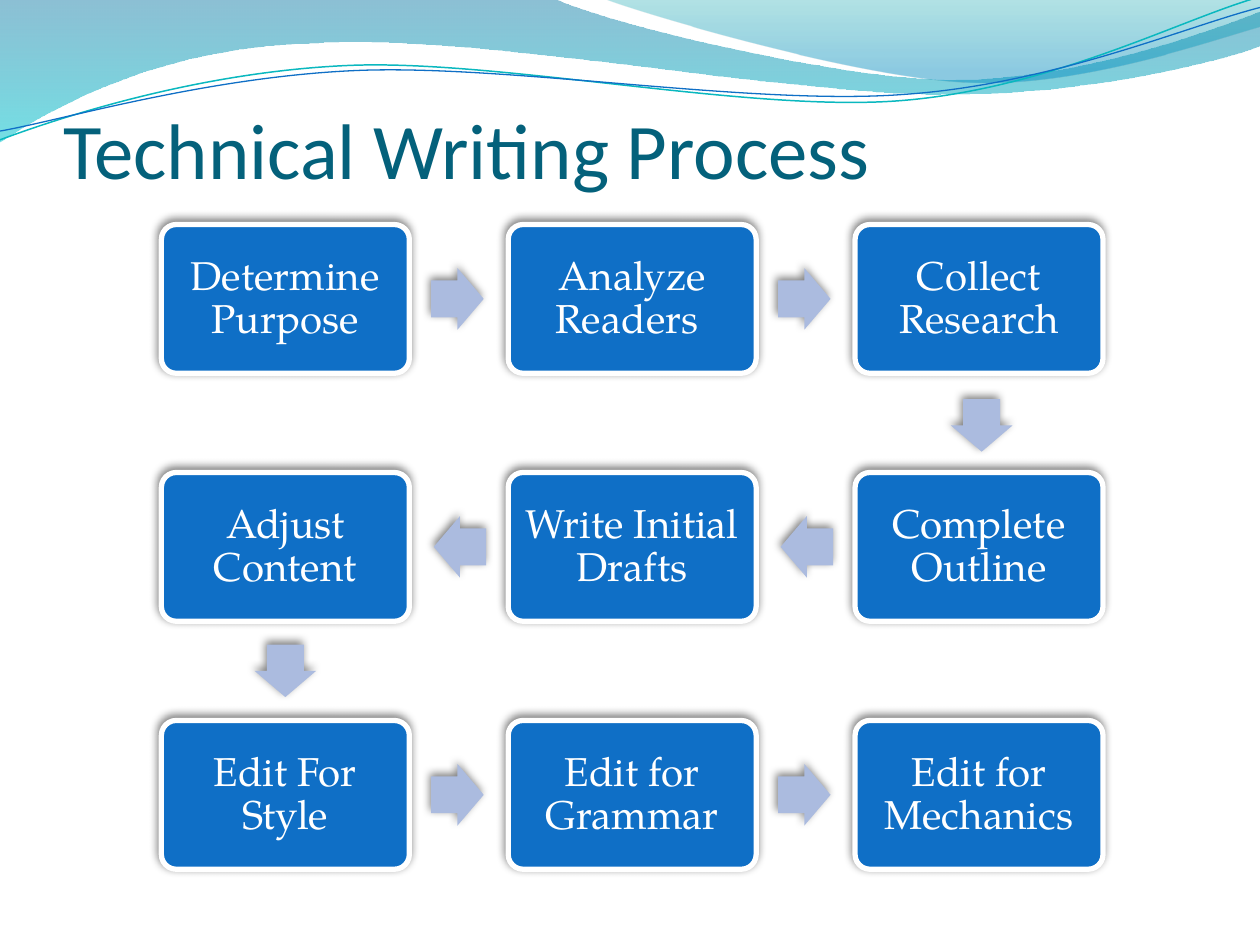
from math import cos, radians, sin

from lxml.etree import SubElement
from pptx import Presentation
from pptx.dml.color import RGBColor
from pptx.enum.shapes import MSO_SHAPE as Preset
from pptx.enum.text import MSO_ANCHOR as Anchor, MSO_AUTO_SIZE as AutoSize, PP_ALIGN as Align
from pptx.oxml.ns import qn
from pptx.util import Pt

STEPS = ["Determine Purpose", "Analyze Readers ", "Collect Research",
         "Complete Outline", "Write Initial Drafts", "Adjust Content",
         "Edit For Style", "Edit for Grammar", "Edit for Mechanics"]
COLUMNS = 3
BOX_LEFT, BOX_TOP, BOX_WIDTH, BOX_HEIGHT = 92.2, 128.3, 141.7, 85
COLUMN_STEP, ROW_STEP = 198.2, 141.7
ARROW_WIDTH, ARROW_HEIGHT = 30, 35.2
ARROW_NUDGE = {2: (1.5, 1.5)}

# Each outline is a start point followed by segments:
# one point is a straight line, three points are a Bezier curve.
LEFT_WAVE = [
    (0, 0), [(316.8, -0.7)],
    [(342.7, 12.2), (478.1, 45.4), (545.8, 45.4)],
    [(614.2, 45.4), (689.8, 18.7), (720, 6.5)], [(720.7, 25.9)],
    [(707.8, 31.7), (626.4, 54.7), (537.1, 54)],
    [(447.8, 54), (275, 20.2), (185, 24.5)],
    [(92.9, 25.9), (33.1, 59.8), (-0.7, 81.4)]]
RIGHT_WAVE = [
    (344.9, -0.7),
    [(366.5, 7.9), (491, 44.6), (553.7, 46.8)],
    [(616.3, 49.7), (691.9, 23), (720, 15.1)], [(720, 0)]]
TEAL_LINE = [
    (0, 79.9),
    [(34.6, 67), (113.8, 41), (199.4, 37.4)],
    [(284.4, 33.8), (427, 64.1), (513.4, 57.6)],
    [(599.8, 51.1), (675.4, 10.8), (718.6, -1.4)]]
BLUE_LINE = [
    (0, 74.9),
    [(33.8, 69.1), (118.1, 43.9), (203.8, 40.3)],
    [(290.2, 36.7), (429.8, 60.5), (516.2, 54)],
    [(601.9, 48.2), (677.5, 15.1), (720, 4.3)]]


def color(value):
    """Turn a hex string into a colour."""
    return RGBColor.from_string(value)


def apply(target, values):
    """Set each attribute of the target from a dict."""
    for name, value in values.items():
        setattr(target, name, value)


def turn(point, pivot, degrees):
    """Rotate a point clockwise around a pivot."""
    angle = radians(degrees)
    x, y = point[0] - pivot[0], point[1] - pivot[1]
    return (pivot[0] + x * cos(angle) - y * sin(angle),
            pivot[1] + x * sin(angle) + y * cos(angle))


class Deck:
    """Holds the style and the current slide."""

    title_font = {"name": "Calibri", "size": Pt(45), "bold": False}
    box_font = {"name": "TeX Gyre Pagella", "size": Pt(23)}
    box_fill, arrow_fill, white, title_color = "0F6FC6", "ABBBDF", "FFFFFF", "04617B"
    shadow = {"blurRad": Pt(5), "dist": Pt(2), "dir": 245 * 60000}
    line_tilt = -2.7

    def __init__(self):
        """Start a presentation with one title slide."""
        self.presentation = Presentation()
        apply(self.presentation, {"slide_width": Pt(720), "slide_height": Pt(540)})
        self.slide = self.presentation.slides.add_slide(self.presentation.slide_layouts[5])
        self.shapes = self.slide.shapes

    def title(self, text, left, top, width, height):
        """Place and format the title in front of the waves."""
        shape = self.shapes.title
        apply(shape, {"left": Pt(left), "top": Pt(top), "width": Pt(width), "height": Pt(height)})
        self.set_text(shape, text, self.title_font, self.title_color, Align.LEFT,
                      {"vertical_anchor": Anchor.BOTTOM, "margin_left": 0, "margin_right": 0,
                       "margin_top": Pt(3.6), "margin_bottom": 0})
        self.shapes._spTree.append(shape._element)

    def set_text(self, shape, text, font, font_color, alignment, frame_format):
        """Fill a shape with one formatted paragraph."""
        frame = shape.text_frame
        apply(frame, {"text": text, "word_wrap": True, "auto_size": AutoSize.NONE, **frame_format})
        paragraph = frame.paragraphs[0]
        paragraph.alignment = alignment
        run_font = paragraph.runs[0].font
        apply(run_font, font)
        run_font.color.rgb = color(font_color)
        return paragraph

    def outline(self, segments, closed):
        """Draw a freeform from straight lines and Bezier curves."""
        start, *rest = segments
        points = [(Pt(x), Pt(y)) for segment in rest for x, y in segment]
        builder = self.shapes.build_freeform(Pt(start[0]), Pt(start[1]))
        builder.add_line_segments(points, close=closed)
        shape = builder.convert_to_shape()
        shape.shadow.inherit = False
        corners = iter(list(shape._element.iter(qn("a:lnTo"))))
        for segment in rest:
            first, *others = [next(corners) for _ in segment]
            if others:
                first.tag = qn("a:cubicBezTo")
            for corner in others:
                first.append(corner[0])
                corner.getparent().remove(corner)
        return shape

    def wave(self, segments, stops):
        """Draw a closed wave with a translucent downward gradient."""
        shape = self.outline(segments, True)
        shape.line.fill.background()
        shape.fill.gradient()
        shape.fill.gradient_angle = 270
        for stop, (position, value, _) in zip(shape.fill.gradient_stops, stops):
            stop.position = position
            stop.color.rgb = color(value)
        for element, (_, _, opacity) in zip(shape._element.spPr.iter(qn("a:srgbClr")), stops):
            SubElement(element, qn("a:alpha"), val=str(opacity * 1000))

    def curve(self, segments, pivot, value, width):
        """Draw a thin open curve as a tilted shape."""
        start, *rest = segments
        level = [turn(start, pivot, -self.line_tilt)]
        level += [[turn(point, pivot, -self.line_tilt) for point in segment] for segment in rest]
        shape = self.outline(level, False)
        shape.rotation = self.line_tilt
        shape.fill.background()
        shape.line.color.rgb = color(value)
        shape.line.width = Pt(width)

    def block(self, preset, left, top, width, height, fill, adjustments):
        """Draw a filled preset shape with a soft shadow."""
        shape = self.shapes.add_shape(preset, Pt(left), Pt(top), Pt(width), Pt(height))
        for index, value in enumerate(adjustments):
            shape.adjustments[index] = value
        shape.fill.solid()
        shape.fill.fore_color.rgb = color(fill)
        shape.shadow.inherit = False
        effects = shape._element.spPr.find(qn("a:effectLst"))
        shadow = SubElement(effects, qn("a:outerShdw"), rotWithShape="0",
                            **{name: str(int(value)) for name, value in self.shadow.items()})
        shade = SubElement(shadow, qn("a:srgbClr"), val="000000")
        SubElement(shade, qn("a:alpha"), val="50000")
        return shape

    def box(self, text, left, top):
        """Draw one step of the process."""
        shape = self.block(Preset.ROUNDED_RECTANGLE, left, top, BOX_WIDTH, BOX_HEIGHT,
                           self.box_fill, [0.1])
        shape.line.color.rgb = color(self.white)
        shape.line.width = Pt(3)
        margins = {f"margin_{side}": Pt(7.2) for side in ("left", "right", "top", "bottom")}
        paragraph = self.set_text(shape, text, self.box_font, self.white, Align.CENTER,
                                  {"vertical_anchor": Anchor.MIDDLE, **margins})
        paragraph.line_spacing = 0.9

    def arrow(self, center_x, center_y, rotation):
        """Draw a block arrow around a centre point."""
        shape = self.block(Preset.RIGHT_ARROW, center_x - ARROW_WIDTH / 2,
                           center_y - ARROW_HEIGHT / 2, ARROW_WIDTH, ARROW_HEIGHT,
                           self.arrow_fill, [0.6, 0.5])
        shape.line.fill.background()
        shape.rotation = rotation


def box_place(index):
    """Give the left and top of a step on the winding route."""
    row, column = divmod(index, COLUMNS)
    if row % 2:
        column = COLUMNS - 1 - column
    return BOX_LEFT + column * COLUMN_STEP, BOX_TOP + row * ROW_STEP


deck = Deck()
deck.wave(LEFT_WAVE, [(0, "0074A1", 45), (1, "00C6CF", 55)])
deck.wave(RIGHT_WAVE, [(0, "00A1A9", 30), (0.8, "008BBF", 45)])
deck.curve(TEAL_LINE, (359.3, 41.4), "0AB8BF", 0.85)
deck.curve(BLUE_LINE, (359.6, 42.5), "0F6FC6", 0.75)
deck.title("Technical Writing Process", 36, 55.4, 648, 56.2)

for index, step in enumerate(STEPS):
    left, top = box_place(index)
    deck.box(step, left, top)
    if index + 1 < len(STEPS):
        next_left, next_top = box_place(index + 1)
        rotation = 90 if next_top > top else 0 if next_left > left else 180
        shift_x, shift_y = ARROW_NUDGE.get(index, (-0.7 * cos(radians(rotation)), 0))
        deck.arrow((left + next_left + BOX_WIDTH) / 2 + shift_x,
                   (top + next_top + BOX_HEIGHT) / 2 + shift_y, rotation)

deck.presentation.save("out.pptx")
